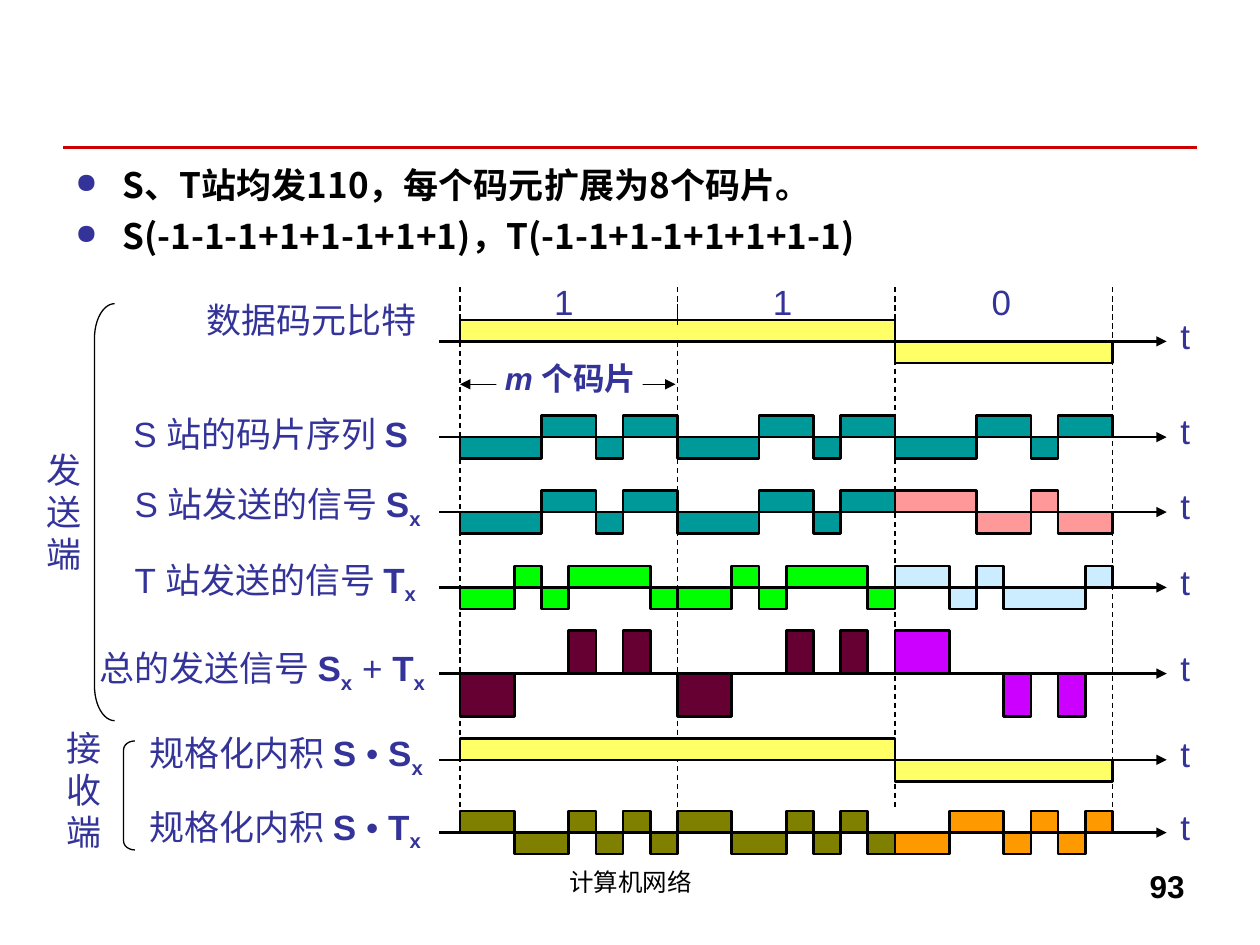
from dataclasses import dataclass
from enum import Enum
from itertools import groupby

import pptx
import pptx.dml.color
import pptx.enum.dml
import pptx.enum.shapes
import pptx.enum.text
import pptx.oxml
import pptx.oxml.ns
import pptx.util

Pt = pptx.util.Pt
RGBColor = pptx.dml.color.RGBColor
Align = pptx.enum.text.PP_ALIGN
Preset = pptx.enum.shapes.MSO_SHAPE

BLACK = RGBColor(0x00, 0x00, 0x00)
WHITE = RGBColor(0xFF, 0xFF, 0xFF)
RED = RGBColor(0xCC, 0x00, 0x00)
INDIGO = RGBColor(0x33, 0x33, 0x99)
YELLOW = RGBColor(0xFF, 0xFF, 0x66)
TEAL = RGBColor(0x00, 0x99, 0x99)
PINK = RGBColor(0xFF, 0x99, 0x99)
GREEN = RGBColor(0x00, 0xFF, 0x00)
PALE_BLUE = RGBColor(0xCC, 0xEC, 0xFF)
MAROON = RGBColor(0x66, 0x00, 0x33)
MAGENTA = RGBColor(0xCC, 0x00, 0xFF)
OLIVE = RGBColor(0x80, 0x80, 0x00)
ORANGE = RGBColor(0xFF, 0x99, 0x00)

SIGNAL_LEFT = 262.8
BIT_WIDTH = 124.32
CHIPS_PER_BIT = 8
CHIP_WIDTH = BIT_WIDTH / CHIPS_PER_BIT
UNIT_HEIGHT = 12.3
AXIS_LEFT, AXIS_RIGHT = 251, 666.7

BITS = (1, 1, -1)
S_CODE = (-1, -1, -1, 1, 1, -1, 1, 1)
T_CODE = (-1, -1, 1, -1, 1, 1, 1, -1)
SUM_CODE = tuple(s + t for s, t in zip(S_CODE, T_CODE))
PRODUCT_CODE = tuple(s * t for s, t in zip(S_CODE, T_CODE))


class Style(Enum):
    PLAIN = "plain"
    BOLD = "bold"
    SUBSCRIPT = "subscript"
    ITALIC = "bold italic"


Run = tuple[str, Style]
S_X: tuple[Run, ...] = (("S", Style.BOLD), ("x", Style.SUBSCRIPT))
T_X: tuple[Run, ...] = (("T", Style.BOLD), ("x", Style.SUBSCRIPT))
INNER_PRODUCT: tuple[Run, ...] = (
    ("规格化内积 ", Style.PLAIN), ("S ", Style.BOLD), ("• ", Style.PLAIN))


@dataclass(frozen=True)
class Label:
    left: float
    top: float
    width: float
    runs: tuple[Run, ...]
    height: float = 32


@dataclass(frozen=True)
class Wave:
    first_bit: int
    levels: tuple[int, ...]
    color: RGBColor


@dataclass(frozen=True)
class SignalRow:
    axis: float
    label: Label
    waves: tuple[Wave, ...]


def spread(code: tuple[int, ...], color: RGBColor, zero_color: RGBColor) -> tuple[Wave, ...]:
    """Chips sent for each data bit: the code for 1, its negative for 0."""
    return tuple(
        Wave(index, tuple(bit * chip for chip in code), color if bit > 0 else zero_color)
        for index, bit in enumerate(BITS))


DATA_WAVE = (Wave(0, tuple(bit for bit in BITS for _ in range(CHIPS_PER_BIT)), YELLOW),)
ROWS = (
    SignalRow(195.1, Label(110.9, 167, 134.6, (("数据码元比特", Style.PLAIN),)), DATA_WAVE),
    SignalRow(249.8, Label(69.1, 232, 186.5,
                           (("S 站的码片序列 ", Style.PLAIN), ("S", Style.BOLD))),
              tuple(Wave(index, S_CODE, TEAL) for index in range(len(BITS)))),
    SignalRow(292.6, Label(69.8, 272.2, 193, (("S 站发送的信号 ", Style.PLAIN), *S_X)),
              spread(S_CODE, TEAL, PINK)),
    SignalRow(335.7, Label(69.8, 315.4, 190.8, (("T 站发送的信号 ", Style.PLAIN), *T_X)),
              spread(T_CODE, GREEN, PALE_BLUE)),
    SignalRow(384.9, Label(49.7, 365.8, 211,
                           (("总的发送信号 ", Style.PLAIN), *S_X, (" + ", Style.PLAIN), *T_X)),
              spread(SUM_CODE, MAROON, MAGENTA)),
    SignalRow(434.2, Label(78.5, 414.7, 180.7, INNER_PRODUCT + S_X), DATA_WAVE),
    SignalRow(475.8, Label(78.5, 456.5, 179.3, INNER_PRODUCT + T_X),
              spread(PRODUCT_CODE, OLIVE, ORANGE)),
)


def add_line(slide, start: tuple[float, float], end: tuple[float, float], width: float,
             color: RGBColor = BLACK, dashed: bool = False, arrows: tuple[str, ...] = ()) -> None:
    """Arrows may name headEnd and tailEnd, in that order."""
    connector = slide.shapes.add_connector(
        pptx.enum.shapes.MSO_CONNECTOR.STRAIGHT, *(Pt(value) for value in start + end))
    connector.line.color.rgb = color
    connector.line.width = Pt(width)
    if dashed:
        connector.line.dash_style = pptx.enum.dml.MSO_LINE.DASH
    properties = connector._element.spPr
    for arrow in arrows:
        end_element = pptx.oxml.ns.qn(f"a:{arrow}")
        properties.ln.append(properties.ln.makeelement(end_element, {"type": "triangle"}))
    properties.append(properties.makeelement(pptx.oxml.ns.qn("a:effectLst"), {}))


def set_font(paragraph, size: float, color: RGBColor, name: str = "Arial",
             bold: bool | None = None) -> None:
    font = paragraph.font
    font.name, font.size, font.bold = name, Pt(size), bold
    font.color.rgb = color


def add_text_frame(slide, left: float, top: float, width: float, height: float, wrap: bool):
    box = slide.shapes.add_textbox(Pt(left), Pt(top), Pt(width), Pt(height))
    box.text_frame.word_wrap = wrap
    return box.text_frame


def add_label(slide, label: Label, size: float = 20) -> None:
    """Place a one-line label, or one line per character if it is taller than wide."""
    frame = add_text_frame(slide, label.left, label.top, label.width, label.height, False)
    frame.auto_size = pptx.enum.text.MSO_AUTO_SIZE.SHAPE_TO_FIT_TEXT
    paragraph = frame.paragraphs[0]
    set_font(paragraph, size, INDIGO)
    for text, style in label.runs:
        run = paragraph.add_run()
        run.text = text
        if style is not Style.PLAIN:
            run.font.bold = True
        if style is Style.ITALIC:
            run.font.italic = True
        if style is Style.SUBSCRIPT:
            run._r.get_or_add_rPr().set("baseline", "-25000")


def add_side(slide, name: str, left: float, top: float) -> None:
    """Stack the characters of a station side in one column."""
    frame = add_text_frame(slide, left, top, 34.6, 79.2, False)
    frame.text = "\n".join(name)
    for paragraph in frame.paragraphs:
        set_font(paragraph, 20, INDIGO)


def add_bracket(slide, left: float, top: float, width: float, height: float,
                radius: float) -> None:
    bracket = slide.shapes.add_shape(
        Preset.LEFT_BRACKET, Pt(left), Pt(top), Pt(width), Pt(height))
    bracket.adjustments[0] = radius / width
    bracket.fill.background()
    bracket.line.color.rgb = BLACK
    bracket.line.width = Pt(0.75)
    bracket.shadow.inherit = False


def add_wave(slide, wave: Wave, axis: float) -> None:
    x = SIGNAL_LEFT + wave.first_bit * BIT_WIDTH
    builder = slide.shapes.build_freeform(Pt(x), Pt(axis))
    points = []
    for level, chips in groupby(wave.levels):
        y = axis - level * UNIT_HEIGHT
        points.append((Pt(x), Pt(y)))
        x += len(list(chips)) * CHIP_WIDTH
        points.append((Pt(x), Pt(y)))
    points.append((Pt(x), Pt(axis)))
    builder.add_line_segments(points, close=False)
    shape = builder.convert_to_shape()
    shape.fill.solid()
    shape.fill.fore_color.rgb = wave.color
    shape.line.color.rgb = BLACK
    shape.line.width = Pt(1.5)
    shape.shadow.inherit = False


def add_bullets(slide, lines: tuple[str, ...]) -> None:
    frame = add_text_frame(slide, 36, 90, 648, 70, True)
    frame.text = "\n".join(lines)
    for index, paragraph in enumerate(frame.paragraphs):
        properties = paragraph._p.get_or_add_pPr()
        properties.set("marL", str(Pt(27)))
        properties.set("indent", str(Pt(-27)))
        if index:
            paragraph.space_before = Pt(5)
        namespace = pptx.oxml.ns.nsdecls("a")
        for xml in (f'<a:buClr {namespace}><a:srgbClr val="{INDIGO}"/></a:buClr>',
                    f'<a:buSzPct {namespace} val="80000"/>',
                    f'<a:buChar {namespace} char="●"/>'):
            properties.append(pptx.oxml.parse_xml(xml))
        set_font(paragraph, 20, BLACK, "Noto Sans CJK SC", True)


def add_footer(slide, text: str, left: float, width: float, size: float,
               alignment: Align, bold: bool) -> None:
    frame = add_text_frame(slide, left, 491.8, width, 37.4, True)
    frame.text = text
    frame.paragraphs[0].alignment = alignment
    set_font(frame.paragraphs[0], size, BLACK, bold=bold)


def add_chip_span(slide) -> None:
    """Mark one bit as m chips wide."""
    add_line(slide, (SIGNAL_LEFT, 219.6), (386, 219.6), 0.75, arrows=("headEnd", "tailEnd"))
    backing = slide.shapes.add_shape(Preset.RECTANGLE, Pt(283.7), Pt(207.4), Pt(83.5), Pt(21.6))
    backing.fill.solid()
    backing.fill.fore_color.rgb = WHITE
    backing.line.fill.background()
    backing.shadow.inherit = False
    add_label(slide, Label(281.5, 201.6, 93.6,
                           (("m ", Style.ITALIC), ("个码片", Style.BOLD)), 28.8), 18)


def main() -> None:
    presentation = pptx.Presentation()
    presentation.slide_width, presentation.slide_height = Pt(720), Pt(540)
    slide = presentation.slides.add_slide(presentation.slide_layouts[6])

    add_line(slide, (36, 84.2), (684, 84.2), 2, RED)
    add_footer(slide, "计算机网络", 246.2, 228.2, 14, Align.CENTER, False)
    add_footer(slide, "93", 516.2, 167.8, 18, Align.RIGHT, True)
    add_bullets(slide, ("S、T站均发110，每个码元扩展为8个码片。",
                        "S(-1-1-1+1+1-1+1+1)，T(-1-1+1-1+1+1+1-1)"))

    for boundary in range(len(BITS) + 1):
        x = SIGNAL_LEFT + boundary * BIT_WIDTH
        add_line(slide, (x, 164.2), (x, 463), 0.75, dashed=True)
    for row in ROWS:
        for wave in row.waves:
            add_wave(slide, wave, row.axis)
        add_line(slide, (AXIS_LEFT, row.axis), (AXIS_RIGHT, row.axis), 1.5, arrows=("tailEnd",))
        add_label(slide, row.label)
        add_label(slide, Label(667.4, row.axis - 19.2, 19.4, (("t", Style.PLAIN),)))
    for index, bit in enumerate(BITS):
        digit = "1" if bit > 0 else "0"
        add_label(slide, Label(309.6 + index * 125, 157, 25.2, ((digit, Style.PLAIN),)))
    first_boundary = SIGNAL_LEFT + BIT_WIDTH
    add_line(slide, (first_boundary, 173.5), (first_boundary, 185.8), 0.75)
    add_chip_span(slide)

    add_side(slide, "发送端", 19.4, 252.7)
    add_side(slide, "接收端", 31, 411.8)
    add_bracket(slide, 54, 173.5, 11.5, 238.3, 20)
    add_bracket(slide, 70.6, 423.4, 6.5, 62.3, 5)
    presentation.save("out.pptx")


if __name__ == "__main__":
    main()
